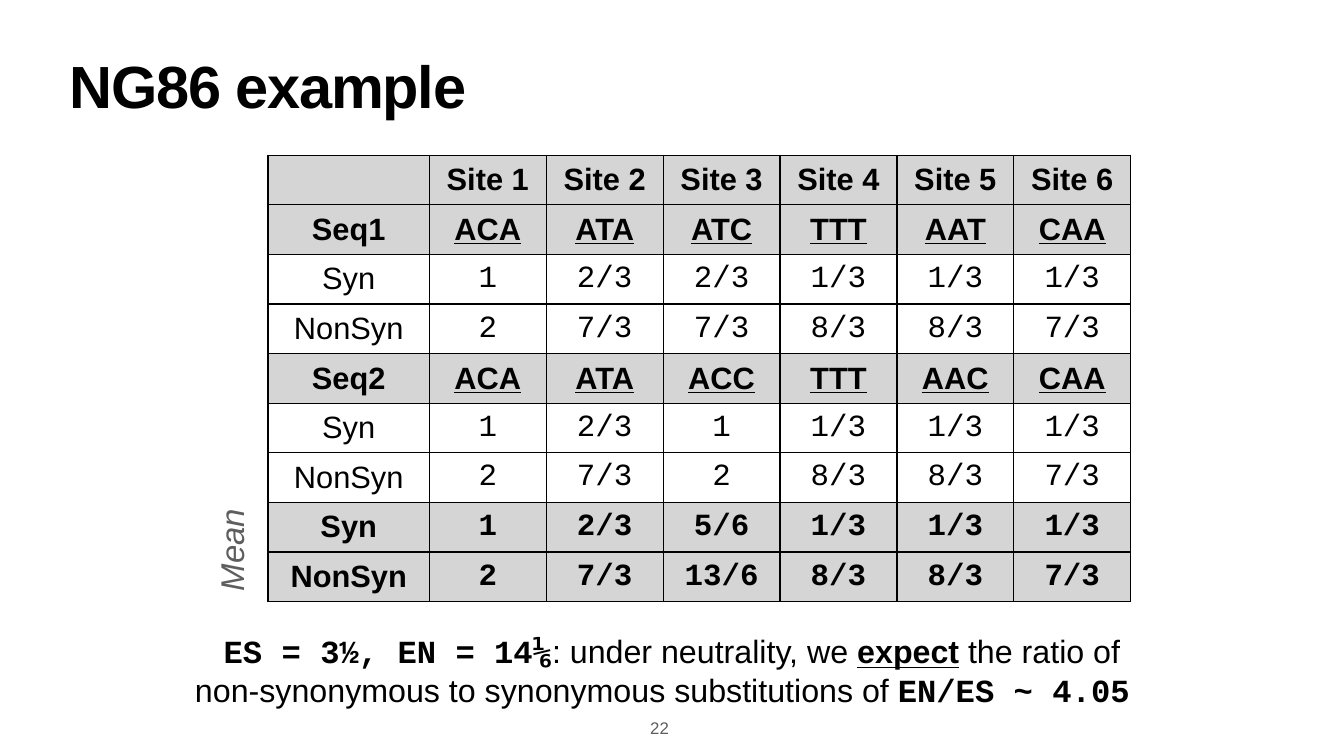
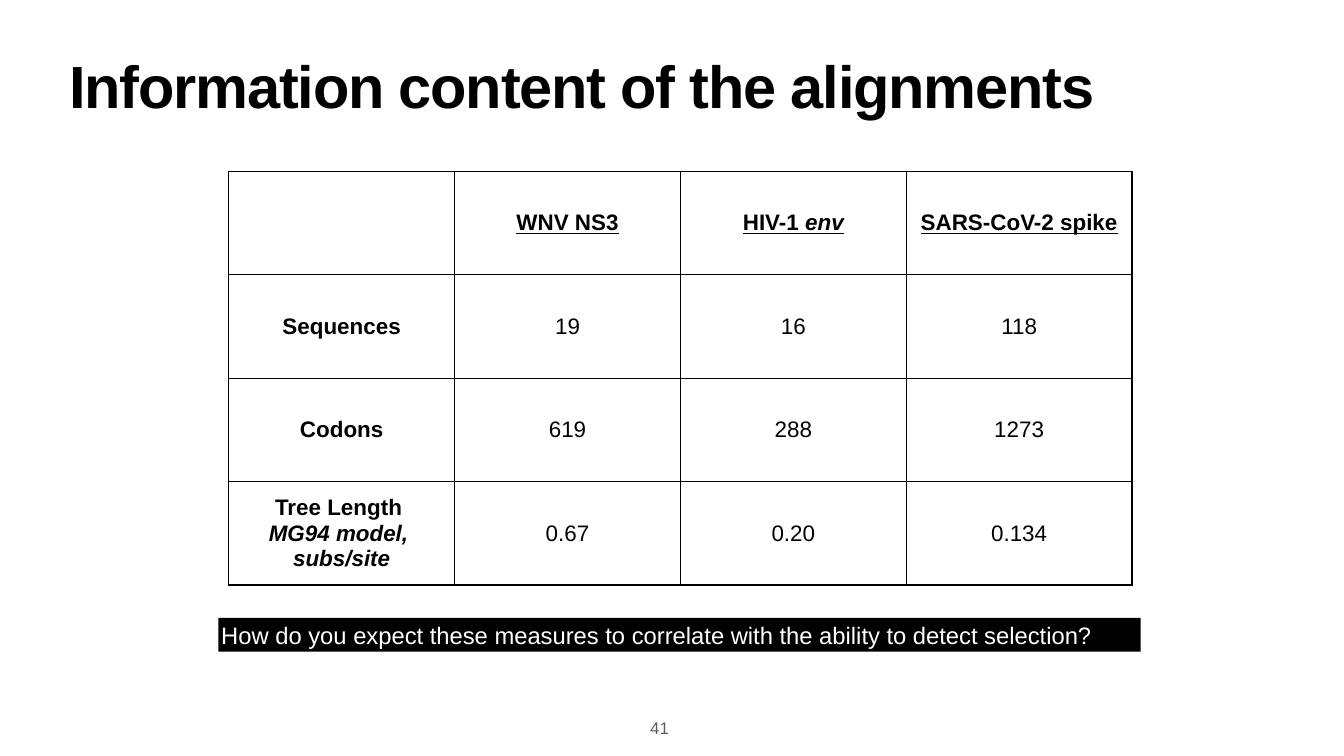
from lxml import etree
from pptx import Presentation
from pptx import util as u
from pptx.dml.color import RGBColor
from pptx.enum import shapes, text
from pptx.oxml import ns

BLACK, WHITE, GREY, SHADE = "000000", "FFFFFF", "5E5E5E", "D5D5D5"
SANS, MONO = "Arial", "Courier New"
INSET = u.Cm(0.15)
LEFT, CENTER, RIGHT = text.PP_ALIGN.LEFT, text.PP_ALIGN.CENTER, text.PP_ALIGN.RIGHT
TOP, MIDDLE, BOTTOM = text.MSO_ANCHOR.TOP, text.MSO_ANCHOR.MIDDLE, text.MSO_ANCHOR.BOTTOM

BOLD = {"bold": True}
HEADING = {"bold": True, "underline": True}
BOLD_ITALIC = {"bold": True, "italic": True}
BOLD_MONO = {"bold": True, "face": MONO}

# Row label, values, whether the row is shaded, style of the values
NG86_ROWS = [
    ("", [f"Site {n}" for n in range(1, 7)], True, BOLD),
    ("Seq1", "ACA ATA ATC TTT AAT CAA".split(), True, HEADING),
    ("Syn", "1 2/3 2/3 1/3 1/3 1/3".split(), False, {"face": MONO}),
    ("NonSyn", "2 7/3 7/3 8/3 8/3 7/3".split(), False, {"face": MONO}),
    ("Seq2", "ACA ATA ACC TTT AAC CAA".split(), True, HEADING),
    ("Syn", "1 2/3 1 1/3 1/3 1/3".split(), False, {"face": MONO}),
    ("NonSyn", "2 7/3 2 8/3 8/3 7/3".split(), False, {"face": MONO}),
    ("Syn", "1 2/3 5/6 1/3 1/3 1/3".split(), True, BOLD_MONO),
    ("NonSyn", "2 7/3 13/6 8/3 8/3 7/3".split(), True, BOLD_MONO),
]

ALIGNMENT_HEADINGS = [
    [],
    [("WNV NS3", HEADING)],
    [("HIV-1 ", HEADING), ("env", {**HEADING, "italic": True})],
    [("SARS-CoV-2 spike", HEADING)],
]
ALIGNMENT_MEASURES = [
    ([[("Sequences", BOLD)]], ["19", "16", "118"]),
    ([[("Codons", BOLD)]], ["619", "288", "1273"]),
    ([[("Tree Length ", BOLD)], [("MG94 model, \nsubs/site", BOLD_ITALIC)]],
     ["0.67", "0.20", "0.134"]),
]


def rgb(hex_code):
    return RGBColor.from_string(hex_code)


def add_run(paragraph, words, size, color=BLACK, face=SANS, bold=False,
            italic=False, underline=False, spacing=None):
    """Add words to the paragraph; a newline becomes a line break."""
    for index, line in enumerate(words.split("\n")):
        if index:
            paragraph.add_line_break()
        run = paragraph.add_run()
        run.text = line
        font = run.font
        font.name, font.size, font.color.rgb = face, u.Pt(size), rgb(color)
        font.bold, font.italic, font.underline = bold, italic, underline
        if spacing is not None:
            run._r.get_or_add_rPr().set("spc", str(spacing))


def write(frame, paragraphs, size, align=CENTER):
    """Fill a text frame with paragraphs, each a list of (words, style)."""
    for index, runs in enumerate(paragraphs):
        paragraph = frame.add_paragraph() if index else frame.paragraphs[0]
        paragraph.alignment = align
        for words, style in runs:
            add_run(paragraph, words, size, **style)


def set_frame(frame, anchor, wrap=True):
    frame.word_wrap = wrap
    frame.vertical_anchor = anchor
    frame.margin_left = frame.margin_right = INSET
    frame.margin_top = frame.margin_bottom = INSET


def add_text(slide, box, runs, size, align=CENTER, anchor=MIDDLE, wrap=True):
    label = slide.shapes.add_textbox(*map(u.Cm, box))
    set_frame(label.text_frame, anchor, wrap)
    write(label.text_frame, [runs], size, align)
    return label


def add_banner(slide, box, words, size):
    banner = slide.shapes.add_shape(shapes.MSO_SHAPE.RECTANGLE, *map(u.Cm, box))
    banner.shadow.inherit = False
    banner.fill.solid()
    banner.fill.fore_color.rgb = rgb(BLACK)
    banner.line.fill.background()
    set_frame(banner.text_frame, MIDDLE)
    write(banner.text_frame, [[(words, {"color": WHITE})]], size, LEFT)


def set_borders(cell, color=BLACK, width=2):
    properties = cell._tc.get_or_add_tcPr()
    for side in ("lnL", "lnR", "lnT", "lnB"):
        line = etree.SubElement(properties, ns.qn(f"a:{side}"), w=str(u.Pt(width)))
        fill = etree.SubElement(line, ns.qn("a:solidFill"))
        etree.SubElement(fill, ns.qn("a:srgbClr"), val=color)


def add_grid(slide, left, top, widths, height, rows, size):
    """Add a table; each row is (shaded, cells), each cell a list of paragraphs."""
    frame = slide.shapes.add_table(
        len(rows), len(widths), u.Cm(left), u.Cm(top),
        u.Cm(sum(widths)), u.Cm(height * len(rows)))
    table = frame.table
    table.first_row = table.horz_banding = False
    for column, width in zip(table.columns, widths):
        column.width = u.Cm(width)
    for r, (shaded, cells) in enumerate(rows):
        table.rows[r].height = u.Cm(height)
        for c, paragraphs in enumerate(cells):
            cell = table.cell(r, c)
            cell.vertical_anchor = MIDDLE
            cell.margin_left = cell.margin_right = INSET
            cell.margin_top = cell.margin_bottom = INSET
            set_borders(cell)
            if shaded:
                cell.fill.solid()
                cell.fill.fore_color.rgb = rgb(SHADE)
            else:
                cell.fill.background()
            write(cell.text_frame, paragraphs, size)


def add_slide(deck, title, number):
    """Add a white slide with its title and page number."""
    slide = deck.slides.add_slide(deck.slide_layouts[6])
    slide.background.fill.solid()
    slide.background.fill.fore_color.rgb = rgb(WHITE)
    heading = add_text(slide, (3.35, 3, 61.04, 3.99),
                       [(title, {"bold": True, "spacing": -170})], 85, LEFT, TOP)
    heading.text_frame.paragraphs[0].line_spacing = 0.8
    add_text(slide, (32.59, 36.09, 1.27, 1.27), [(str(number), {"color": GREY})],
             24, RIGHT, BOTTOM, wrap=False)
    return slide


def build_ng86(deck):
    slide = add_slide(deck, "NG86 example", 22)
    rows = []
    for label, values, shaded, style in NG86_ROWS:
        label_cell = [[(label, {"bold": shaded})]] if label else []
        rows.append((shaded, [label_cell] + [[[(value, style)]] for value in values]))
    add_grid(slide, 13.51, 7.82, [8.13] + [5.89] * 6, 2.5, rows, 44)
    add_text(slide, (9.4, 31.55, 48.92, 4.47), [
        ("ES = 3½, EN = 14⅙", BOLD_MONO),
        (": under neutrality, we ", {}),
        ("expect", HEADING),
        (" the ratio of non-synonymous to synonymous substitutions of ", {}),
        ("EN/ES ~ 4.05 ", BOLD_MONO),
    ], 46)
    mean = add_text(slide, (8.89, 26.31, 5.51, 2.82),
                    [("Mean", {"color": GREY, "italic": True})], 47, wrap=False)
    mean.rotation = 270


def build_alignments(deck):
    slide = add_slide(deck, "Information content of the alignments", 41)
    rows = [(False, [[runs] for runs in ALIGNMENT_HEADINGS])]
    for label, values in ALIGNMENT_MEASURES:
        rows.append((False, [label] + [[[(value, {})]] for value in values]))
    add_grid(slide, 11.53, 8.64, [11.38] * 4, 5.21, rows, 32)
    add_banner(slide, (11, 31.14, 46.48, 1.7),
               "How do you expect these measures to correlate with the ability "
               "to detect selection?", 34)


def main():
    deck = Presentation()
    deck.slide_width, deck.slide_height = u.Cm(67.73), u.Cm(38.1)
    build_ng86(deck)
    build_alignments(deck)
    deck.save("out.pptx")


if __name__ == "__main__":
    main()
